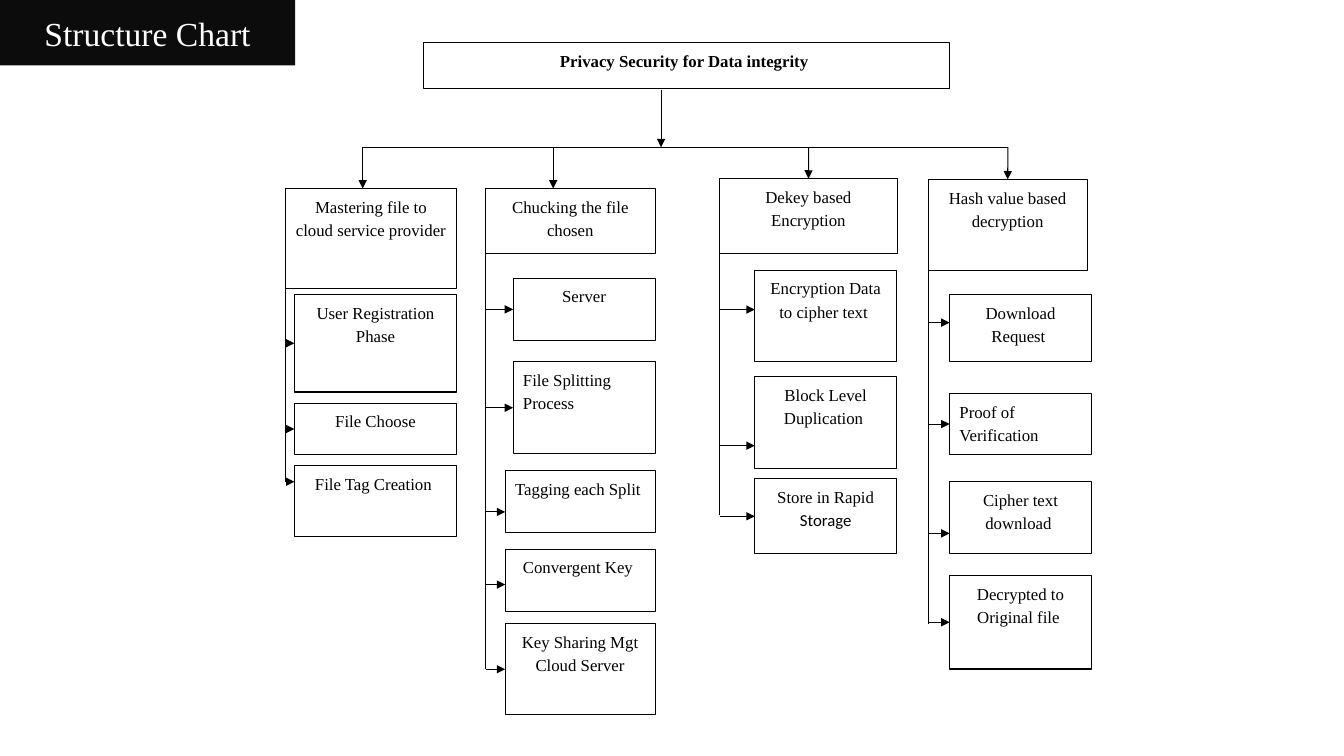
from dataclasses import dataclass

from lxml.etree import SubElement
from pptx import Presentation
from pptx.dml.color import RGBColor
from pptx.enum.shapes import MSO_CONNECTOR, MSO_SHAPE
from pptx.enum.text import MSO_ANCHOR, PP_ALIGN
from pptx.oxml.ns import qn
from pptx.shapes.autoshape import Shape
from pptx.shapes.connector import Connector
from pptx.slide import Slide
from pptx.util import Cm, Pt

BLACK = RGBColor(0x00, 0x00, 0x00)
WHITE = RGBColor(0xFF, 0xFF, 0xFF)
BANNER = RGBColor(0x0C, 0x0C, 0x0C)
SERIF = "Times New Roman"
SANS = "Calibri"
BUS_Y = 3.71
TOP, LEFT = 0, 1
JOIN_TOLERANCE = 0.1
BOX_PARAGRAPH = {"line_spacing": 1.15, "space_after": Pt(10)}
BOX_FONT = {"name": SERIF, "size": Pt(12)}
BANNER_FONT = {"name": SERIF, "size": Pt(24)}


@dataclass(frozen=True)
class Area:
    left: float
    top: float
    width: float
    height: float

    @property
    def center(self) -> float:
        return self.left + self.width / 2

    @property
    def middle(self) -> float:
        return self.top + self.height / 2


@dataclass(frozen=True)
class Step:
    text: str
    left: float
    top: float
    height: float
    arrow_y: float
    align: PP_ALIGN = PP_ALIGN.CENTER
    sans_text: str = ""


@dataclass(frozen=True)
class Branch:
    text: str
    area: Area
    drop_x: float
    right: float
    steps: tuple[Step, ...]


BRANCHES = (
    Branch("Mastering file to cloud service provider", Area(7.19, 4.75, 4.32, 2.51), 9.14, 11.51, (
        Step("User Registration Phase", 7.42, 7.42, 2.46, 8.69),
        Step("File Choose", 7.42, 10.16, 1.3, 10.77),
        Step("File Tag Creation ", 7.42, 11.73, 1.8, 12.14),
    )),
    Branch("Chucking the file chosen", Area(12.24, 4.75, 4.27, 1.63), 13.94, 16.51, (
        Step("Server", 12.93, 7.01, 1.57, 7.77),
        Step("File Splitting Process", 12.93, 9.12, 2.31, 10.34, PP_ALIGN.LEFT),
        Step("Tagging each Split ", 12.73, 11.86, 1.57, 12.9),
        Step("Convergent Key ", 12.73, 13.84, 1.57, 14.73),
        Step("Key Sharing Mgt Cloud Server", 12.73, 15.72, 2.29, 16.87),
    )),
    Branch("Dekey based Encryption", Area(18.14, 4.5, 4.47, 1.88), 20.38, 22.6, (
        Step("Encryption Data to cipher text ", 19.02, 6.81, 2.31, 7.8),
        Step("Block Level Duplication ", 19.02, 9.5, 2.31, 11.23),
        Step("Store in Rapid", 19.02, 12.07, 1.88, 12.98, sans_text=" Storage"),
    )),
    Branch("Hash value based decryption", Area(23.39, 4.52, 4.01, 2.29), 25.4, 27.51, (
        Step("Download Request ", 23.93, 7.42, 1.7, 8.13),
        Step("Proof of Verification", 23.93, 9.91, 1.55, 10.64, PP_ALIGN.LEFT),
        Step("Cipher text download ", 23.93, 12.14, 1.8, 13.44),
        Step("Decrypted to Original file ", 23.93, 14.5, 2.36, 15.72),
    )),
)


def apply(target: object, values: dict) -> None:
    for name, value in values.items():
        setattr(target, name, value)


def add_span(box: Shape, text: str, color: RGBColor, values: dict) -> None:
    span = box.text_frame.paragraphs[0].add_run()
    span.text = text
    apply(span.font, values)
    span.font.color.rgb = color


def add_rectangle(page: Slide, area: Area, fill: RGBColor) -> Shape:
    box = page.shapes.add_shape(
        MSO_SHAPE.RECTANGLE, Cm(area.left), Cm(area.top), Cm(area.width), Cm(area.height)
    )
    box.shadow.inherit = False
    box.fill.solid()
    box.fill.fore_color.rgb = fill
    box.text_frame.word_wrap = True
    box.text_frame.paragraphs[0].alignment = PP_ALIGN.CENTER
    return box


def add_box(page: Slide, area: Area, text: str, align: PP_ALIGN = PP_ALIGN.CENTER,
            bold: bool = False) -> Shape:
    box = add_rectangle(page, area, WHITE)
    box.line.color.rgb = BLACK
    box.line.width = Pt(0.75)
    box.text_frame.vertical_anchor = MSO_ANCHOR.TOP
    apply(box.text_frame.paragraphs[0], BOX_PARAGRAPH | {"alignment": align})
    add_span(box, text, BLACK, BOX_FONT | {"bold": bold})
    return box


def add_line(page: Slide, start: tuple[float, float], end: tuple[float, float]) -> Connector:
    line = page.shapes.add_connector(
        MSO_CONNECTOR.STRAIGHT, Cm(start[0]), Cm(start[1]), Cm(end[0]), Cm(end[1])
    )
    line.line.color.rgb = BLACK
    line.line.width = Pt(0.75)
    SubElement(line._element.spPr, qn("a:effectLst"))
    return line


def add_arrow(page: Slide, start: tuple[float, float], end: tuple[float, float]) -> Connector:
    arrow = add_line(page, start, end)
    SubElement(arrow.line._get_or_add_ln(), qn("a:tailEnd"), type="triangle")
    return arrow


def add_step(page: Slide, step: Step, branch: Branch) -> None:
    area = Area(step.left, step.top, branch.right - step.left, step.height)
    box = add_box(page, area, step.text, step.align)
    if step.sans_text:
        add_span(box, step.sans_text, BLACK, BOX_FONT | {"name": SANS})
    joined = abs(step.arrow_y - area.middle) <= JOIN_TOLERANCE
    arrow_y = area.middle if joined else step.arrow_y
    arrow = add_arrow(page, (branch.area.left, arrow_y), (step.left, arrow_y))
    if joined:
        arrow.end_connect(box, LEFT)


def add_branch(page: Slide, branch: Branch) -> None:
    area = branch.area
    header = add_box(page, area, branch.text)
    drop = add_arrow(page, (branch.drop_x, BUS_Y), (branch.drop_x, area.top))
    if abs(branch.drop_x - area.center) <= JOIN_TOLERANCE:
        drop.end_connect(header, TOP)
    add_line(page, (area.left, area.top + area.height), (area.left, branch.steps[-1].arrow_y))
    for step in branch.steps:
        add_step(page, step, branch)


def add_banner(page: Slide) -> None:
    banner = add_rectangle(page, Area(0, 0, 7.44, 1.65), BANNER)
    banner.line.fill.background()
    banner.text_frame.vertical_anchor = MSO_ANCHOR.MIDDLE
    add_span(banner, "Structure Chart", WHITE, BANNER_FONT)


def main() -> None:
    deck = Presentation()
    deck.slide_width, deck.slide_height = Cm(33.87), Cm(19.05)
    page = deck.slides.add_slide(deck.slide_layouts[6])
    add_box(page, Area(10.67, 1.07, 13.26, 1.17), "Privacy Security for Data integrity ", bold=True)
    add_line(page, (BRANCHES[0].drop_x, BUS_Y), (BRANCHES[-1].drop_x, BUS_Y))
    add_arrow(page, (16.66, 2.26), (16.66, BUS_Y))
    for branch in BRANCHES:
        add_branch(page, branch)
    add_banner(page)
    deck.save("out.pptx")


if __name__ == "__main__":
    main()
